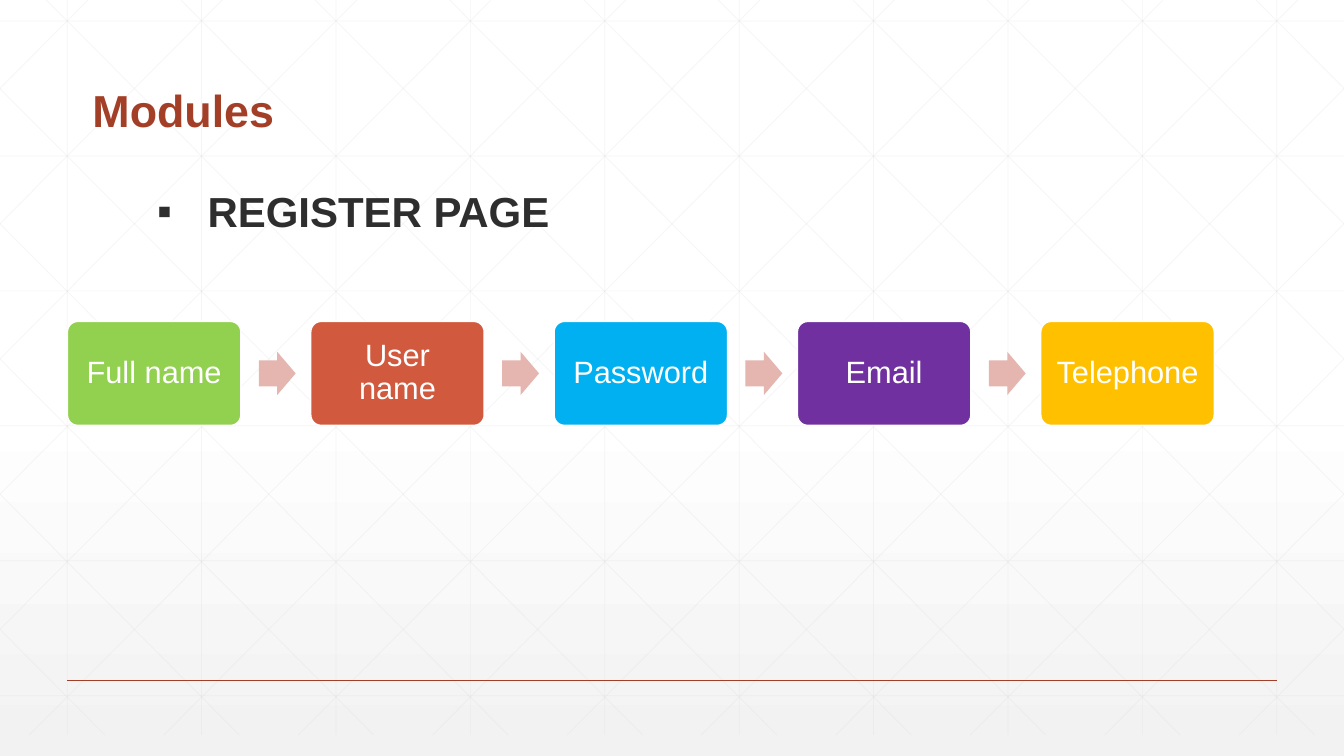
"""Build a slide that shows the fields of the register page as a flow."""
from lxml.etree import SubElement
from pptx import Presentation
from pptx.dml.color import RGBColor
from pptx.enum.shapes import MSO_CONNECTOR, MSO_SHAPE
from pptx.enum.text import MSO_ANCHOR, MSO_AUTO_SIZE, PP_ALIGN
from pptx.oxml import parse_xml
from pptx.oxml.ns import nsdecls, qn
from pptx.util import Cm, Pt

WIDTH, HEIGHT = 33.87, 19.05
FONT = "Arial"
WHITE = RGBColor(0xFF, 0xFF, 0xFF)
SILVER = RGBColor(0xF2, 0xF2, 0xF2)
GRID_GREY = RGBColor(0xD9, 0xD9, 0xD9)
RUST = RGBColor(0xA4, 0x3F, 0x27)
INK = RGBColor(0x2D, 0x2E, 0x2D)
PINK = RGBColor(0xE5, 0xB5, 0xAF)
GREEN = RGBColor(0x92, 0xD0, 0x50)
CORAL = RGBColor(0xD1, 0x5A, 0x3E)
BLUE = RGBColor(0x00, 0xB0, 0xF0)
PURPLE = RGBColor(0x70, 0x30, 0xA0)
AMBER = RGBColor(0xFF, 0xC0, 0x00)
FIELDS = [("Full name", GREEN), ("User name", CORAL), ("Password", BLUE),
          ("Email", PURPLE), ("Telephone", AMBER)]


def write_text(shape, text, *, size, color, bold=False, align=PP_ALIGN.LEFT,
               anchor=MSO_ANCHOR.MIDDLE, spacing=1.0, inset=0.25):
    """Write one formatted paragraph into a shape and return it."""
    frame = shape.text_frame
    frame.word_wrap = True
    frame.auto_size = MSO_AUTO_SIZE.NONE
    frame.vertical_anchor = anchor
    frame.margin_left = frame.margin_right = Cm(inset)
    frame.margin_top = frame.margin_bottom = Cm(0.13)
    paragraph = frame.paragraphs[0]
    paragraph.alignment = align
    paragraph.line_spacing = spacing
    paragraph.space_before = paragraph.space_after = Pt(0)
    run = paragraph.add_run()
    run.text = text
    run.font.name = FONT
    run.font.size = Pt(size)
    run.font.bold = bold
    run.font.color.rgb = color
    return paragraph


def add_line(slide, start, end, color, width, opacity=100):
    """Draw a straight line between two points given in centimetres."""
    points = [Cm(value) for value in (*start, *end)]
    line = slide.shapes.add_connector(MSO_CONNECTOR.STRAIGHT, *points)
    line.line.color.rgb = color
    line.line.width = Pt(width)
    properties = line.element.spPr
    if opacity < 100:
        alpha = SubElement(next(properties.iter(qn("a:srgbClr"))), qn("a:alpha"))
        alpha.set("val", str(opacity * 1000))
    SubElement(properties, qn("a:effectLst"))


def add_shape(slide, kind, box, fill, adjustments):
    """Add a flat filled shape without an outline."""
    shape = slide.shapes.add_shape(kind, *map(Cm, box))
    shape.shadow.inherit = False
    shape.fill.solid()
    shape.fill.fore_color.rgb = fill
    shape.line.fill.background()
    for index, value in enumerate(adjustments):
        shape.adjustments[index] = value
    return shape


def place_placeholder(slide, index, box):
    """Move a placeholder to its box, in front of what is already drawn."""
    placeholder = slide.placeholders[index]
    placeholder.left, placeholder.top, placeholder.width, placeholder.height = map(Cm, box)
    slide.shapes.element.append(placeholder.element)
    return placeholder


def paint_background(slide):
    """Fade the background from white to light grey at the bottom."""
    stops = "".join(
        f'<a:gs pos="{position * 1000}"><a:srgbClr val="{color}"/></a:gs>'
        for position, color in ((0, WHITE), (53, WHITE), (100, SILVER)))
    slide.background.fill.solid()
    properties = next(slide.element.iter(qn("p:bgPr")))
    gradient = parse_xml(
        f'<a:gradFill {nsdecls("a")} rotWithShape="1"><a:gsLst>{stops}</a:gsLst>'
        '<a:lin ang="5400000" scaled="0"/></a:gradFill>')
    properties.replace(properties.find(qn("a:solidFill")), gradient)


def draw_grid(slide, box):
    """Cover the box with faint squares and both sets of diagonals."""
    left, top, width, height = box
    step, slope = width / 10, 0.994
    lines = [((x, 0), (x, height)) for x in (step * (i + 0.5) for i in range(10))]
    lines += [((0, y), (width, y)) for y in (0.53 + 3.4 * i for i in range(6))]
    for i in range(-5, 10):
        start = 1.17 + step * i
        high = max(0, -start / slope)
        low = min(height, (width - start) / slope)
        ends = [(start + slope * y, y) for y in (high, low)]
        lines += [ends, [(width - x, y) for x, y in ends]]
    for ends in lines:
        start, end = [(left + x, top + y) for x, y in ends]
        add_line(slide, start, end, GRID_GREY, 0.5, opacity=25)


def add_heading(slide, box):
    """Place the title and the bulleted page name below it."""
    left, top, width, height = box
    title = place_placeholder(slide, 0, (left, top, width, height))
    write_text(title, "Modules", size=32, color=RUST, bold=True,
               anchor=MSO_ANCHOR.BOTTOM, spacing=0.9)
    body = place_placeholder(slide, 1, (left + 1.63, top + height + 0.95, 11.48, 1.55))
    paragraph = write_text(body, "REGISTER PAGE", size=30, color=INK, bold=True)
    properties = paragraph._p.get_or_add_pPr()
    properties.set("marL", str(Cm(1.27)))
    properties.set("indent", str(-Cm(1.27)))
    SubElement(properties, qn("a:buFont")).set("typeface", FONT)
    SubElement(properties, qn("a:buChar")).set("char", "▪")


def add_field_flow(slide, box):
    """Spread the fields evenly over the box with an arrow in each gap."""
    left, top, width, height = box
    card_width, arrow_width, arrow_height = 4.37, 0.93, 1.09
    pitch = (width - card_width) / (len(FIELDS) - 1)
    for index, (name, color) in enumerate(FIELDS):
        x = left + index * pitch
        if index:
            arrow_box = (x - 1.31, top + (height - arrow_height) / 2,
                         arrow_width, arrow_height)
            add_shape(slide, MSO_SHAPE.RIGHT_ARROW, arrow_box, PINK, (0.6, 0.5))
        card = add_shape(slide, MSO_SHAPE.ROUNDED_RECTANGLE,
                         (x, top, card_width, height), color, (0.1,))
        card.line.color.rgb = WHITE
        card.line.width = Pt(1)
        write_text(card, name, size=22, color=WHITE,
                   align=PP_ALIGN.CENTER, spacing=0.9)


def main():
    """Build the slide and save the presentation."""
    presentation = Presentation()
    presentation.slide_width, presentation.slide_height = Cm(WIDTH), Cm(HEIGHT)
    slide = presentation.slides.add_slide(presentation.slide_layouts[1])
    paint_background(slide)
    draw_grid(slide, (0, 0, WIDTH, 18.52))
    add_line(slide, (1.69, 17.15), (WIDTH - 1.69, 17.15), RUST, 1)
    add_heading(slide, (2.08, 0.41, 26.67, 3.17))
    add_field_flow(slide, (1.7, 8.1, 28.9, 2.62))
    presentation.save("out.pptx")


main()
